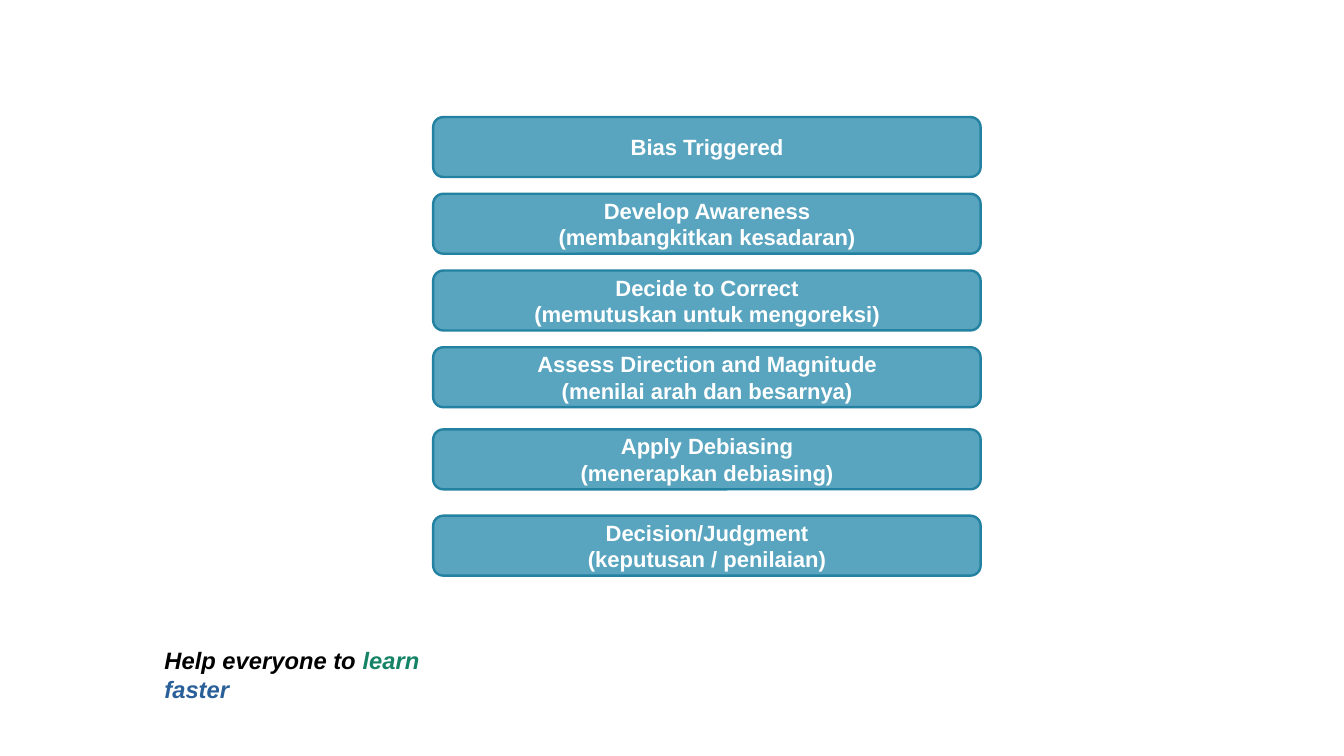
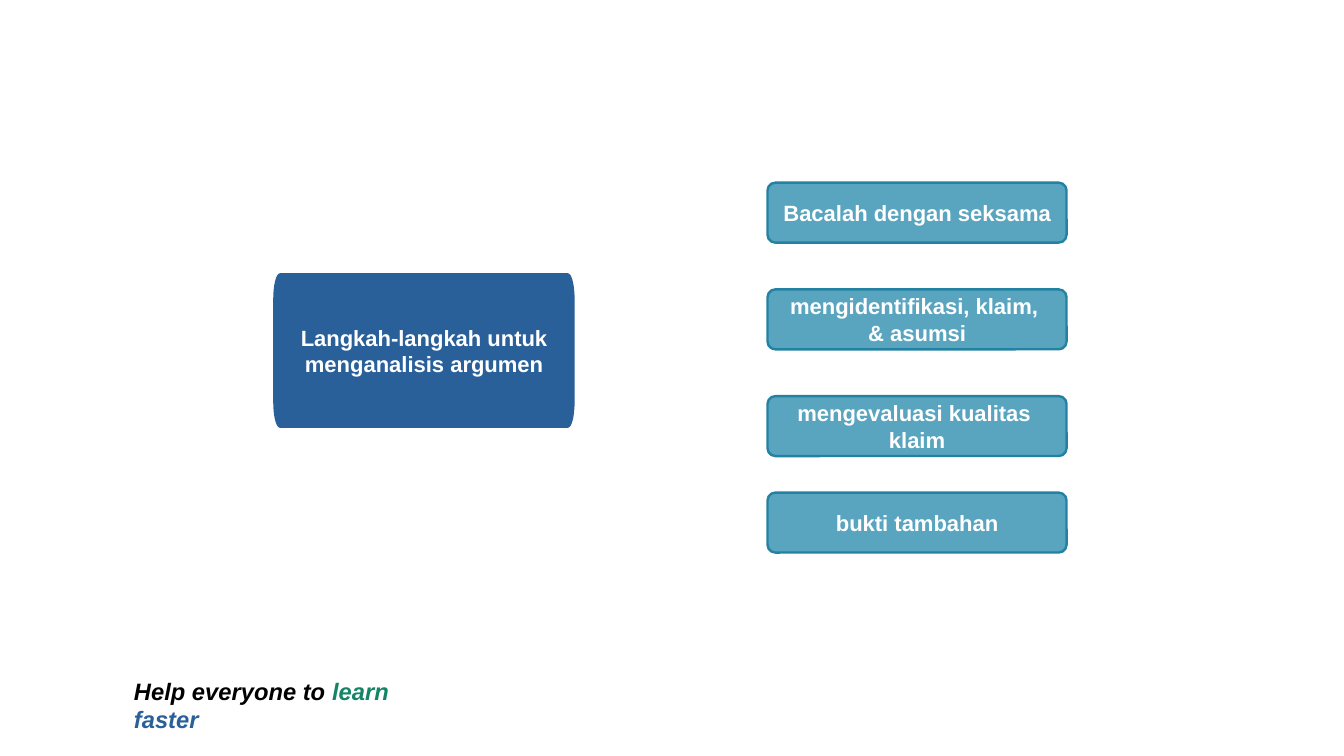
from math import cos, pi, sin

from pptx import Presentation
from pptx.dml.color import RGBColor
from pptx.enum.shapes import MSO_SHAPE
from pptx.enum.text import MSO_ANCHOR, PP_ALIGN
from pptx.util import Inches, Pt

ROUNDED = MSO_SHAPE.ROUNDED_RECTANGLE
MIDDLE, TOP = MSO_ANCHOR.MIDDLE, MSO_ANCHOR.TOP
CENTER, LEFT = PP_ALIGN.CENTER, PP_ALIGN.LEFT

SLIDE_WIDTH, SLIDE_HEIGHT = Inches(11.02), Inches(6.2)
TEAL, DARK_TEAL = "59A5BF", "2382A1"
BLUE, GREEN, BLACK, WHITE = "2A6099", "158466", "000000", "FFFFFF"
LINE_WIDTH = Pt(1.42)
LABEL_FONT = {"name": "Arial", "size": Pt(13), "bold": True}
TAGLINE_FONT = {"name": "Arial", "size": Pt(14), "bold": True, "italic": True}
TAGLINE = [("Help everyone to ", BLACK), ("learn ", GREEN), ("faster", BLUE)]
TAGLINE_SIZE = (26.04, 5.16)

# Boxes are left, top, width, height in percent of the slide.
# Each step has its offset from the first one, counted in box heights.
DEBIASING_BOX = (32.23, 15.48, 40.74, 7.93)
DEBIASING_STEPS = [
    (0, ["Bias Triggered"]),
    (1.28, ["Develop Awareness", "(membangkitkan kesadaran)"]),
    (2.56, ["Decide to Correct", "(memutuskan untuk mengoreksi)"]),
    (3.84, ["Assess Direction and Magnitude", "(menilai arah dan besarnya)"]),
    (5.21, ["Apply Debiasing", "(menerapkan debiasing)"]),
    (6.65, ["Decision/Judgment", "(keputusan / penilaian)"]),
]
ARGUMENT_BOX = (57.11, 24.16, 22.25, 7.93)
ARGUMENT_STEPS = [
    (0, ["Bacalah dengan seksama"]),
    (1.78, ["mengidentifikasi, klaim, ", "& asumsi"]),
    (3.56, ["mengevaluasi kualitas ", "klaim"]),
    (5.17, ["bukti tambahan"]),
]
TOPIC_BOX = (20.42, 36.29, 22.25, 20.16)
TOPIC_LINES = ["Langkah-langkah untuk", "menganalisis argumen"]


def color(value):
    return RGBColor.from_string(value)


def to_lengths(box):
    """Turn percentages of the slide into lengths."""
    left, top, width, height = box
    return (round(left * SLIDE_WIDTH / 100), round(top * SLIDE_HEIGHT / 100),
            round(width * SLIDE_WIDTH / 100), round(height * SLIDE_HEIGHT / 100))


def set_values(target, values):
    for name, value in values.items():
        setattr(target, name, value)


def write_text(shape, paragraphs, font, alignment, anchor):
    """Write paragraphs, each a list of (text, colour) runs."""
    frame = shape.text_frame
    set_values(frame, {
        "word_wrap": False, "vertical_anchor": anchor,
        "margin_left": Inches(0.1), "margin_right": Inches(0.1),
        "margin_top": Inches(0.05), "margin_bottom": Inches(0.05),
    })
    for index, runs in enumerate(paragraphs):
        paragraph = frame.add_paragraph() if index else frame.paragraphs[0]
        paragraph.alignment = alignment
        for text, text_color in runs:
            run = paragraph.add_run()
            run.text = text
            set_values(run.font, font)
            run.font.color.rgb = color(text_color)


def finish_box(shape, lines, fill, line):
    shape.shadow.inherit = False
    shape.fill.solid()
    shape.fill.fore_color.rgb = color(fill)
    shape.line.color.rgb = color(line)
    shape.line.width = LINE_WIDTH
    write_text(shape, [[(text, WHITE)] for text in lines], LABEL_FONT, CENTER, MIDDLE)


def add_steps(slide, first_box, steps, corner):
    left, top, width, height = to_lengths(first_box)
    for offset, lines in steps:
        shape = slide.shapes.add_shape(
            ROUNDED, left, top + round(offset * height), width, height)
        shape.adjustments[0] = corner
        finish_box(shape, lines, TEAL, DARK_TEAL)


def add_topic(slide, box, lines, corner_steps=8):
    """Add a panel whose corners are narrow, upright quarter ellipses."""
    left, top, width, height = to_lengths(box)
    radius_x, radius_y = width * 0.02, height / 6
    near_x, far_x = left + radius_x, left + width - radius_x
    near_y, far_y = top + radius_y, top + height - radius_y
    centers = [(far_x, far_y), (near_x, far_y), (near_x, near_y), (far_x, near_y)]
    points = []
    for quarter, (center_x, center_y) in enumerate(centers):
        for step in range(corner_steps + 1):
            angle = (quarter + step / corner_steps) * pi / 2
            points.append((round(center_x + radius_x * cos(angle)),
                           round(center_y + radius_y * sin(angle))))
    builder = slide.shapes.build_freeform(*points[0])
    builder.add_line_segments(points[1:], close=True)
    finish_box(builder.convert_to_shape(), lines, BLUE, BLUE)


def add_tagline(slide, left, top):
    shape = slide.shapes.add_textbox(*to_lengths((left, top, *TAGLINE_SIZE)))
    write_text(shape, [TAGLINE], TAGLINE_FONT, LEFT, TOP)


def add_blank_slide(presentation):
    slide = presentation.slides.add_slide(presentation.slide_layouts[6])
    slide.background.fill.solid()
    slide.background.fill.fore_color.rgb = color(WHITE)
    return slide


def add_debiasing_slide(presentation):
    slide = add_blank_slide(presentation)
    add_steps(slide, DEBIASING_BOX, DEBIASING_STEPS, corner=0.17)
    add_tagline(slide, 11.34, 84.68)


def add_argument_slide(presentation):
    slide = add_blank_slide(presentation)
    add_topic(slide, TOPIC_BOX, TOPIC_LINES)
    add_steps(slide, ARGUMENT_BOX, ARGUMENT_STEPS, corner=0.13)
    add_tagline(slide, 9.07, 88.71)


def main():
    presentation = Presentation()
    presentation.slide_width = SLIDE_WIDTH
    presentation.slide_height = SLIDE_HEIGHT
    add_debiasing_slide(presentation)
    add_argument_slide(presentation)
    presentation.save("out.pptx")


if __name__ == "__main__":
    main()
